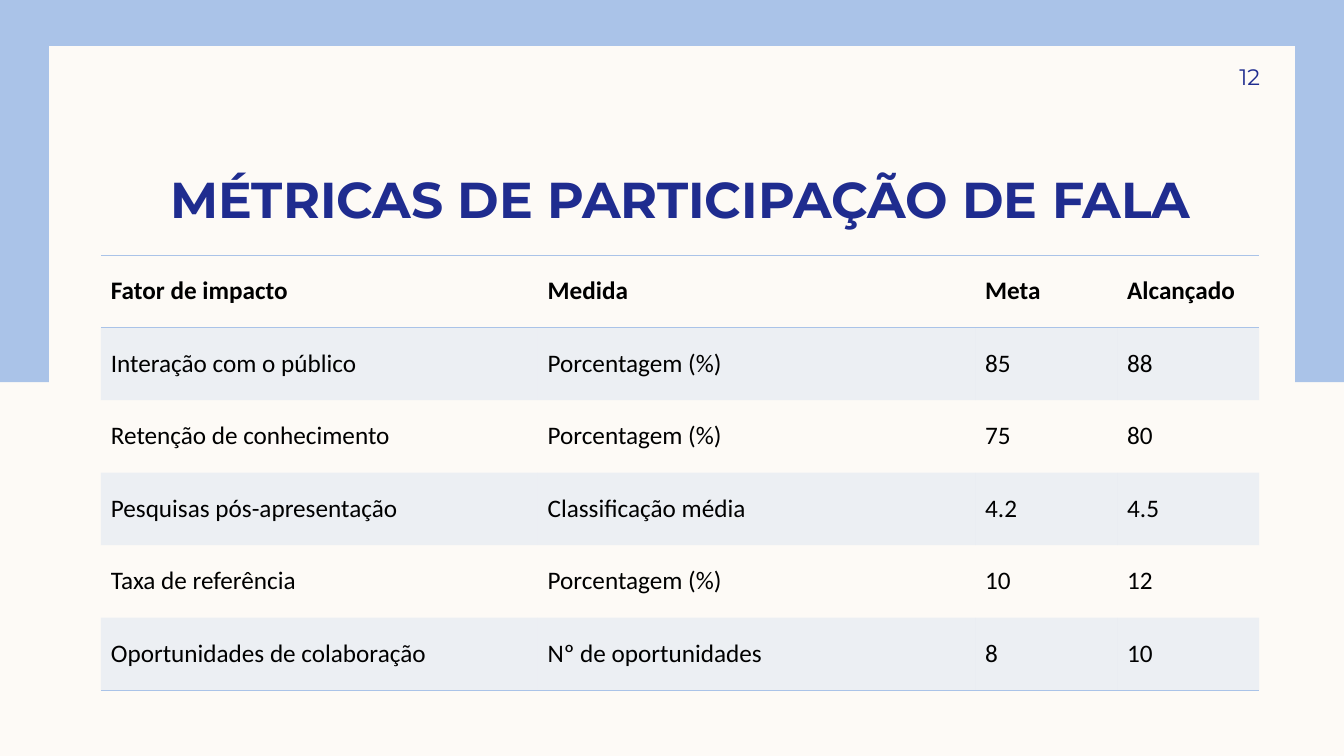
from lxml import etree
from pptx import Presentation
from pptx.dml.color import RGBColor
from pptx.enum.shapes import MSO_SHAPE
from pptx.enum.text import MSO_ANCHOR, PP_ALIGN
from pptx.oxml import parse_xml
from pptx.oxml.ns import nsdecls, qn
from pptx.util import Pt

RECTANGLE = MSO_SHAPE.RECTANGLE
MIDDLE, BOTTOM = MSO_ANCHOR.MIDDLE, MSO_ANCHOR.BOTTOM
LEFT, CENTER, RIGHT = PP_ALIGN.LEFT, PP_ALIGN.CENTER, PP_ALIGN.RIGHT
CREAM, SKY, NAVY, BLACK = "FDFAF6", "AAC3E8", "1F2C8F", "000000"
NO_GRID_STYLE = "{2D5ABB26-0587-4C30-8999-92F81FD0307C}"


def color(hex_code):
    return RGBColor.from_string(hex_code)


def write(frame, text, size=18, font="Calibri", ink=BLACK, bold=False,
          align=LEFT, anchor=MIDDLE):
    frame.word_wrap = True
    frame.vertical_anchor = anchor
    paragraph = frame.paragraphs[0]
    paragraph.alignment = align
    run = paragraph.add_run()
    run.text = text
    run.font.size, run.font.name, run.font.bold = Pt(size), font, bold
    run.font.color.rgb = color(ink)


presentation = Presentation()
presentation.slide_width, presentation.slide_height = Pt(960), Pt(540)
slide = presentation.slides.add_slide(presentation.slide_layouts[5])

# Background: sky band with a cream card on top
slide.background.fill.solid()
slide.background.fill.fore_color.rgb = color(CREAM)
for box, tint in [((-2, 0, 962, 273), SKY), ((35, 33, 890, 474.5), CREAM)]:
    panel = slide.shapes.add_shape(RECTANGLE, *map(Pt, box))
    panel.shadow.inherit = False
    panel.fill.solid()
    panel.fill.fore_color.rgb = color(tint)
    panel.line.fill.background()

# Title, raised above the card
title = slide.shapes.title
slide.shapes._spTree.append(title._element)
title.left, title.top, title.width, title.height = map(Pt, (72, 83.5, 828, 80))
title.text_frame.margin_top = title.text_frame.margin_bottom = 0
write(title.text_frame, "MÉTRICAS DE PARTICIPAÇÃO DE FALA", size=36,
      font="Montserrat", ink=NAVY, bold=True, align=CENTER, anchor=BOTTOM)

# Metrics table
metrics = [
    ("Fator de impacto", "Medida", "Meta", "Alcançado"),
    ("Interação com o público", "Porcentagem (%)", "85", "88"),
    ("Retenção de conhecimento", "Porcentagem (%)", "75", "80"),
    ("Pesquisas pós-apresentação", "Classificação média", "4.2", "4.5"),
    ("Taxa de referência", "Porcentagem (%)", "10", "12"),
    ("Oportunidades de colaboração", "Nº de oportunidades", "8", "10"),
]
column_widths = (312, 312.5, 101.5, 101.5)
row_height = 51.8
last_row = len(metrics) - 1
table = slide.shapes.add_table(
    len(metrics), len(column_widths), Pt(72), Pt(182.2),
    Pt(sum(column_widths)), Pt(row_height * len(metrics))).table
table._tbl.tblPr.find(qn("a:tableStyleId")).text = NO_GRID_STYLE
for column, width in zip(table.columns, column_widths):
    column.width = Pt(width)

for row, values in enumerate(metrics):
    table.rows[row].height = Pt(row_height)
    # Rules above and below the header, and below the last row
    edges = {0: ("lnT", "lnB"), last_row: ("lnB",)}.get(row, ())
    for col, value in enumerate(values):
        cell = table.cell(row, col)
        cell.vertical_anchor = MIDDLE
        write(cell.text_frame, value, bold=row == 0)
        properties = cell._tc.get_or_add_tcPr()
        for edge in edges:
            properties.append(parse_xml(
                f'<a:{edge} {nsdecls("a")} w="12700"><a:solidFill>'
                f'<a:srgbClr val="{SKY}"/></a:solidFill></a:{edge}>'))
        # Every second row carries a translucent band
        if row % 2:
            cell.fill.solid()
            cell.fill.fore_color.rgb = color(SKY)
            tint = properties.find(qn("a:solidFill")).find(qn("a:srgbClr"))
            etree.SubElement(tint, qn("a:alpha"), val="20000")
        else:
            cell.fill.background()

# Page number
page_number = slide.shapes.add_textbox(*map(Pt, (816, 36, 84, 37.5)))
page_number.text_frame.margin_right = 0
write(page_number.text_frame, "12", size=16, font="Montserrat", ink=NAVY,
      align=RIGHT)

presentation.save("out.pptx")
